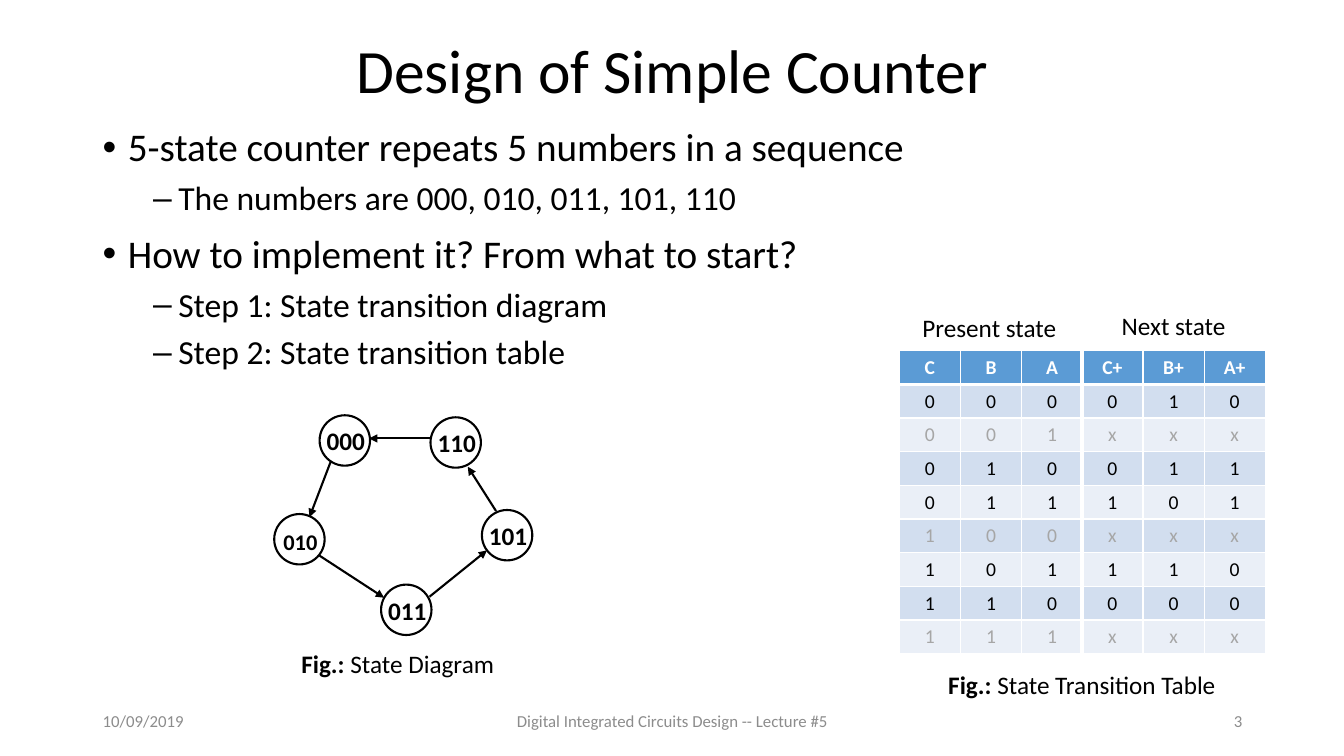
"""Build the slide on the design of a simple five-state counter."""
import pptx
import pptx.dml.color
import pptx.enum.shapes
import pptx.enum.text
import pptx.oxml
import pptx.oxml.ns
import pptx.util
from dataclasses import dataclass

Inches = pptx.util.Inches
Pt = pptx.util.Pt
Align = pptx.enum.text.PP_ALIGN
Anchor = pptx.enum.text.MSO_ANCHOR


@dataclass(frozen=True)
class Theme:
    font: str = "Calibri"
    ink: str = "000000"
    paper: str = "FFFFFF"
    footer: str = "8C8C8C"
    unused: str = "A6A6A6"
    header: str = "5B9BD5"
    bands: tuple = ("D2DEEF", "EAEFF7")
    title_size: int = 44
    body_sizes: tuple = (28, 24)
    label_size: int = 18
    cell_size: int = 14
    footer_size: int = 12
    line: float = 1.5
    thin: int = 1
    thick: int = 3


THEME = Theme()
TITLE = "Design of Simple Counter"
BODY = [
    (0, "5-state counter repeats 5 numbers in a sequence"),
    (1, "The numbers are 000, 010, 011, 101, 110"),
    (0, "How to implement it? From what to start?"),
    (1, "Step 1: State transition diagram"),
    (1, "Step 2: State transition table"),
]
BULLETS = [("\u2022", 0.25, 12), ("\u2013", 0.75, 8)]
FOOTERS = [
    ("10/09/2019", 0.92, 3, Align.LEFT),
    ("Digital Integrated Circuits Design -- Lecture #5", 4.42, 4.5, Align.CENTER),
    ("3", 9.42, 3, Align.RIGHT),
]
STATES = [
    ("000", 3.17, 4.12, 18),
    ("010", 2.72, 5.1, 16),
    ("011", 3.78, 5.8, 18),
    ("101", 4.78, 5.06, 18),
    ("110", 4.27, 4.14, 18),
]
TRANSITIONS = [
    (3.28, 4.58, 3.07, 5.13),
    (3.15, 5.5, 3.81, 5.93),
    (4.26, 5.92, 4.83, 5.46),
    (4.92, 5.07, 4.64, 4.63),
    (4.3, 4.35, 3.66, 4.35),
]
LABELS = [
    ("", "Present state", 9.05, 3.05, 1.54, Align.LEFT),
    ("", "Next state", 11.02, 3.03, 1.24, Align.CENTER),
    ("Fig.: ", "State Diagram", 2.89, 6.38, 2.13, Align.LEFT),
    ("Fig.: ", "State Transition Table", 9.29, 6.59, 2.88, Align.CENTER),
]
PRESENT = ["CBA", "000", "001", "010", "011", "100", "101", "110", "111"]
NEXT = [("C+", "B+", "A+"), "010", "xxx", "011", "101", "xxx", "110", "000", "xxx"]
TABLES = [(PRESENT, 8.92, "R"), (NEXT, 10.73, "L")]
TABLE_TOP, TABLE_WIDTH, ROW_HEIGHT = 3.48, 1.82, 0.33
DIAMETER = 0.5


def color(value):
    return pptx.dml.color.RGBColor.from_string(value)


def xml(tag, attributes="", inner=""):
    return pptx.oxml.parse_xml(
        f'<a:{tag} {pptx.oxml.ns.nsdecls("a")} {attributes}>{inner}</a:{tag}>')


def style(para, size, ink=THEME.ink, bold=False, align=Align.LEFT):
    para.alignment = align
    for span in para.runs:
        span.font.name = THEME.font
        span.font.size = Pt(size)
        span.font.bold = bold
        span.font.color.rgb = color(ink)


def add_text(shapes, text, left, top, width, height, size, wrap=True,
             anchor=Anchor.TOP, **look):
    box = shapes.add_textbox(*map(Inches, (left, top, width, height)))
    frame = box.text_frame
    frame.text = text
    frame.word_wrap = wrap
    frame.vertical_anchor = anchor
    style(frame.paragraphs[0], size, **look)
    return frame


def add_body(page):
    frame = page.shapes.add_textbox(*map(Inches, (0.92, 1.22, 11.5, 2.47))).text_frame
    frame.word_wrap = True
    frame.text = "\n".join(text for level, text in BODY)
    for para, (level, text) in zip(frame.paragraphs, BODY):
        mark, indent, gap = BULLETS[level]
        style(para, THEME.body_sizes[level])
        para.level = level
        para.line_spacing = 0.9
        para.space_before = Pt(gap)
        props = para._p.get_or_add_pPr()
        props.set("marL", str(Inches(indent)))
        props.set("indent", str(Inches(-0.25)))
        props.append(xml("buFont", 'typeface="Arial"'))
        props.append(xml("buChar", f'char="{mark}"'))


def add_transition(page, ends):
    arrow = page.shapes.add_connector(
        pptx.enum.shapes.MSO_CONNECTOR.STRAIGHT, *map(Inches, ends))
    arrow.line.color.rgb = color(THEME.ink)
    arrow.line.width = Pt(THEME.line)
    arrow.line._get_or_add_ln().append(xml("tailEnd", 'type="triangle"'))
    arrow._element.spPr.append(xml("effectLst"))


def add_state(page, name, left, top, size):
    group = page.shapes.add_group_shape()
    circle = group.shapes.add_shape(
        pptx.enum.shapes.MSO_SHAPE.OVAL,
        *map(Inches, (left, top, DIAMETER, DIAMETER)))
    circle.shadow.inherit = False
    circle.fill.solid()
    circle.fill.fore_color.rgb = color(THEME.paper)
    circle.line.color.rgb = color(THEME.ink)
    circle.line.width = Pt(THEME.line)
    frame = add_text(group.shapes, name, left - 0.02, top + 0.08, 0.56, 0.43, size,
                     wrap=False, bold=True, align=Align.CENTER)
    frame.margin_left = frame.margin_right = Inches(0.02)
    frame.margin_top = frame.margin_bottom = Inches(0.03)
    frame.paragraphs[0].line_spacing = Pt(21)


def add_borders(cell, thick_sides):
    for index, side in enumerate("LRTB"):
        width = THEME.thick if side in thick_sides else THEME.thin
        fill = f'<a:solidFill><a:srgbClr val="{THEME.paper}"/></a:solidFill>'
        cell._tc.get_or_add_tcPr().insert(index, xml(f"ln{side}", f'w="{Pt(width)}"', fill))


def add_states_table(page, rows, left, join):
    columns = len(rows[0])
    table = page.shapes.add_table(
        len(rows), columns,
        *map(Inches, (left, TABLE_TOP, TABLE_WIDTH, ROW_HEIGHT * len(rows)))).table
    join_column = columns - 1 if join == "R" else 0
    for row, values in enumerate(rows):
        is_header = row == 0
        ink = THEME.paper if is_header else THEME.unused if NEXT[row] == "xxx" else THEME.ink
        for column, value in enumerate(values):
            cell = table.cell(row, column)
            cell.text = value
            cell.fill.solid()
            cell.fill.fore_color.rgb = color(
                THEME.header if is_header else THEME.bands[(row - 1) % 2])
            style(cell.text_frame.paragraphs[0], THEME.cell_size, ink, is_header, Align.CENTER)
            add_borders(cell, ("B" if is_header else "") + (join if column == join_column else ""))


deck = pptx.Presentation()
deck.slide_width, deck.slide_height = Inches(13.33), Inches(7.5)
page = deck.slides.add_slide(deck.slide_layouts[6])
heading = add_text(page.shapes, TITLE, 0.92, 0.33, 11.5, 0.79, THEME.title_size,
                   anchor=Anchor.MIDDLE, align=Align.CENTER)
heading.paragraphs[0].line_spacing = 0.9
add_body(page)
for text, left, width, align in FOOTERS:
    add_text(page.shapes, text, left, 6.95, width, 0.4, THEME.footer_size,
             anchor=Anchor.MIDDLE, ink=THEME.footer, align=align)
for ends in TRANSITIONS:
    add_transition(page, ends)
for state in STATES:
    add_state(page, *state)
for rows, left, join in TABLES:
    add_states_table(page, rows, left, join)
for lead, text, left, top, width, align in LABELS:
    frame = add_text(page.shapes, lead, left, top, width, 0.4, THEME.label_size, wrap=False)
    para = frame.paragraphs[0]
    para.add_run().text = text
    style(para, THEME.label_size, align=align)
    if lead:
        para.runs[0].font.bold = True
deck.save("out.pptx")
